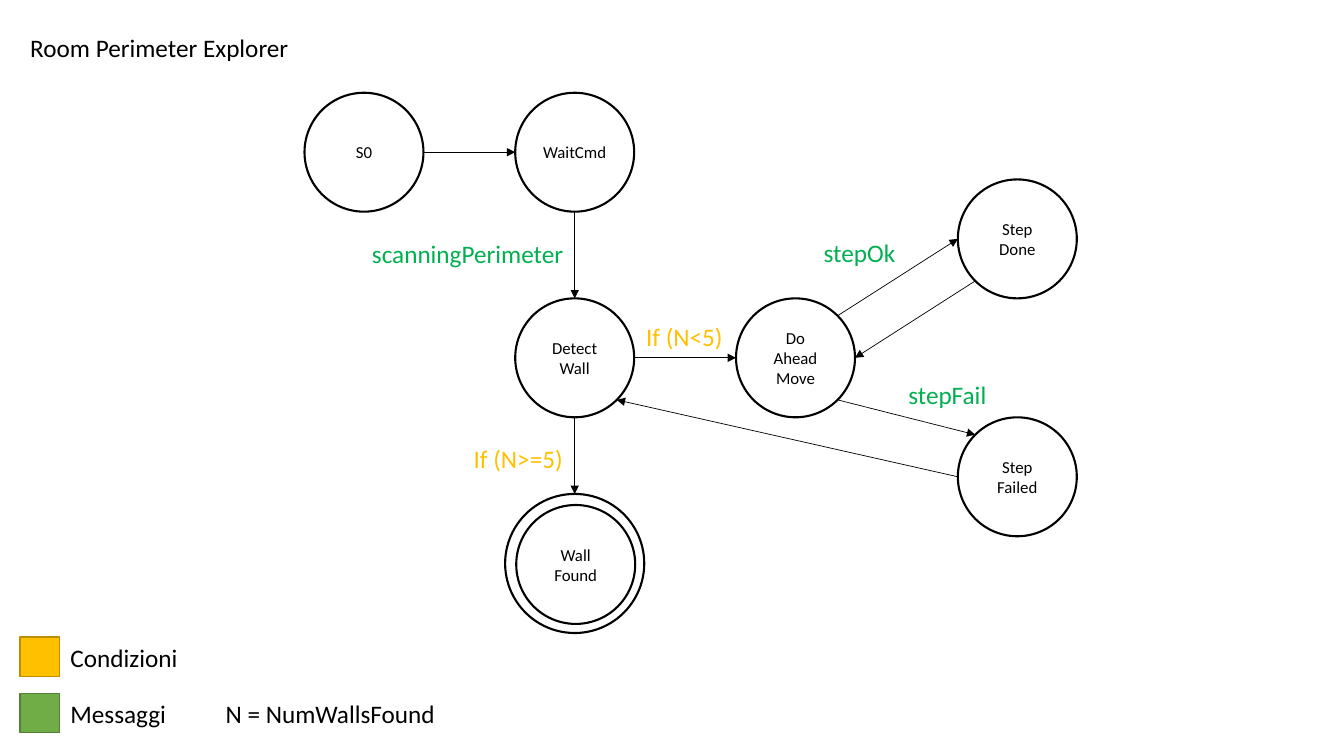
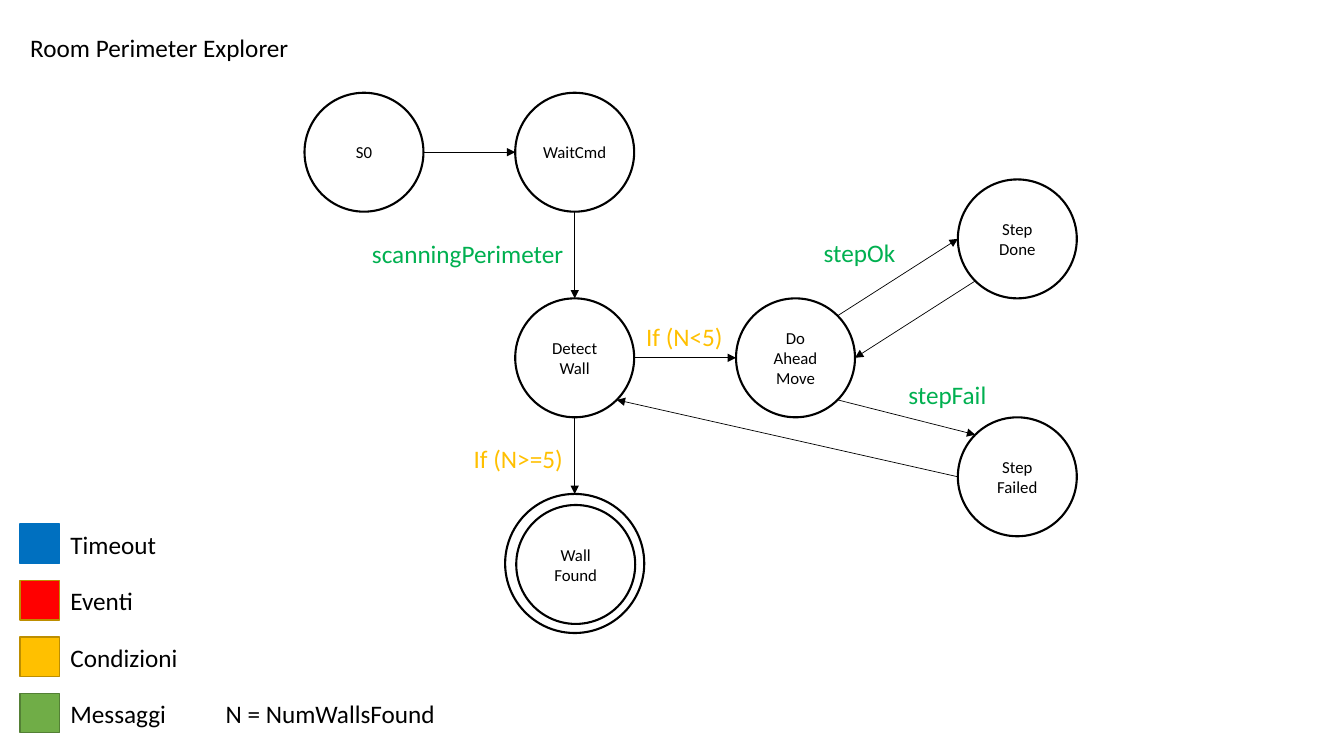
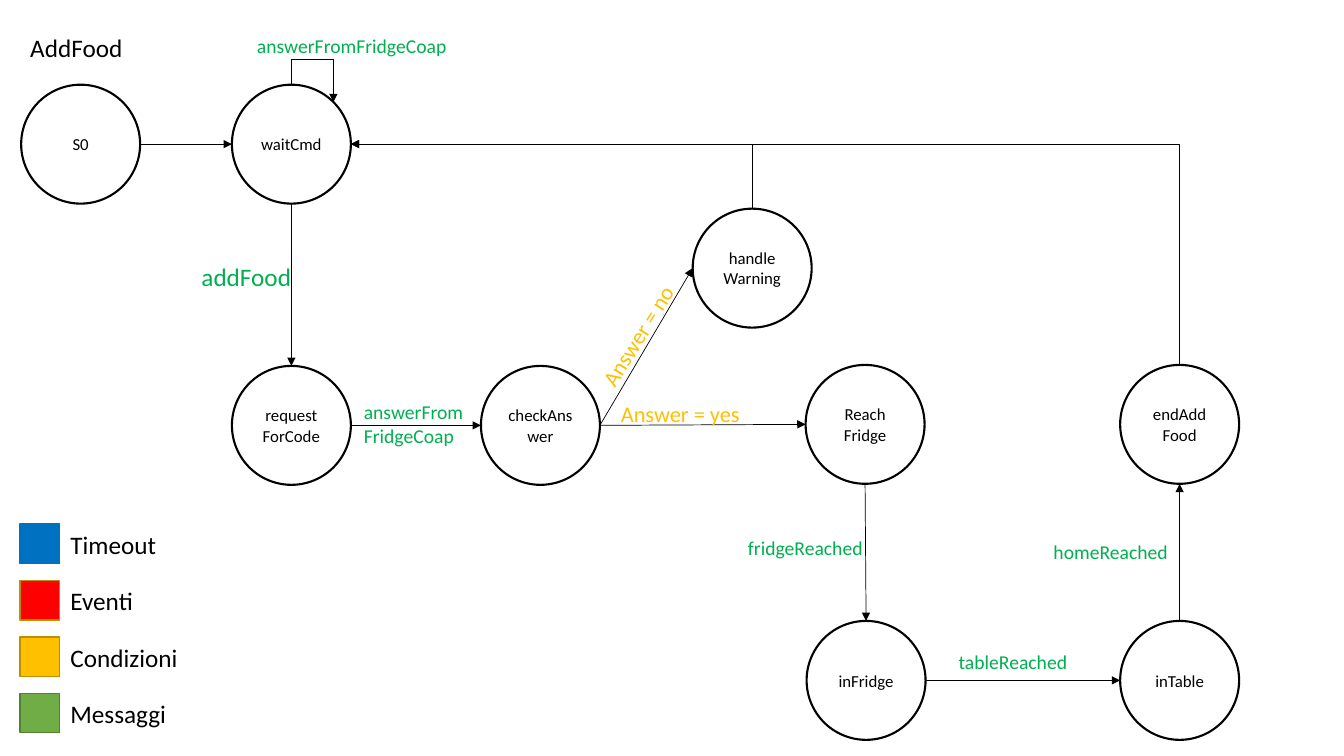
from math import cos, radians, sin

from pptx import Presentation
from pptx.dml.color import RGBColor
from pptx.enum.shapes import MSO_CONNECTOR, MSO_SHAPE
from pptx.enum.text import MSO_ANCHOR, MSO_AUTO_SIZE, PP_ALIGN
from pptx.oxml.ns import qn
from pptx.util import Inches, Pt
from lxml.etree import SubElement

FONT = "Calibri"
COLORS = {
    "ink": "000000",
    "paper": "FFFFFF",
    "message": "00B050",
    "condition": "FFC000",
    "condition edge": "BD8E00",
    "message key": "70AD47",
    "message key edge": "538035",
    "event": "FF0000",
    "timeout": "0070C0",
}
STATE_SIZE = 1.18
FINAL_RING_SIZE = 1.38
KEY_SIZE = 0.39
KEY_LEFT, KEY_BOTTOM_ROW, KEY_PITCH = 0.2, 6.88, 0.56
LOOP_RISE = 0.25

# Connection sites of an ellipse, counted anticlockwise from the top.
SITES = ["top", "top left", "left", "bottom left",
         "bottom", "bottom right", "right", "top right"]

# Legend rows from the bottom up: text, text width, fill, edge.
LEGEND = [
    ("Messaggi", 1.16, "message key", "message key edge"),
    ("Condizioni", 1.28, "condition", "condition edge"),
    ("Eventi", 0.83, "event", "condition edge"),
    ("Timeout", 1.06, "timeout", "timeout"),
]


def rgb(color):
    return RGBColor.from_string(COLORS[color])


def write(frame, text, size, color="ink", align=PP_ALIGN.LEFT):
    frame.text = text
    for paragraph in frame.paragraphs:
        paragraph.alignment = align
        for span in paragraph.runs:
            span.font.name = FONT
            span.font.size = Pt(size)
            span.font.color.rgb = rgb(color)


def fit_to_text(frame):
    frame.word_wrap = False
    frame.auto_size = MSO_AUTO_SIZE.SHAPE_TO_FIT_TEXT


def add_page(deck, title, title_width):
    page = deck.slides.add_slide(deck.slide_layouts[5])
    box = page.shapes.title
    box.left, box.top = Inches(0.2), Inches(0.27)
    box.width, box.height = Inches(title_width), Inches(0.4)
    write(box.text_frame, title, 18)
    fit_to_text(box.text_frame)
    box.text_frame.vertical_anchor = MSO_ANCHOR.TOP
    return page


def add_label(page, text, left, top, width, color="ink", size=18, rotation=0):
    lines = text.count("\n") + 1
    height = lines * size * 1.2 / 72 + 0.1
    box = page.shapes.add_textbox(
        Inches(left), Inches(top), Inches(width), Inches(height))
    write(box.text_frame, text, size, color)
    fit_to_text(box.text_frame)
    box.rotation = rotation


def add_figure(page, kind, left, top, size, fill, edge, edge_width):
    figure = page.shapes.add_shape(
        kind, Inches(left), Inches(top), Inches(size), Inches(size))
    figure.shadow.inherit = False
    figure.fill.solid()
    figure.fill.fore_color.rgb = rgb(fill)
    figure.line.color.rgb = rgb(edge)
    figure.line.width = Pt(edge_width)
    return figure


def add_circle(page, left, top, size):
    return add_figure(page, MSO_SHAPE.OVAL, left, top, size, "paper", "ink", 1.5)


def add_state(page, text, left, top):
    state = add_circle(page, left, top, STATE_SIZE)
    write(state.text_frame, text, 12, align=PP_ALIGN.CENTER)
    state.text_frame.vertical_anchor = MSO_ANCHOR.MIDDLE
    return state


def site_point(state, site):
    angle = radians(90 + 45 * SITES.index(site))
    radius = state.width / 2
    return (int(state.left + radius + radius * cos(angle)),
            int(state.top + radius - radius * sin(angle)))


def add_arrow(page, kind, source, source_site, target, target_site):
    """Draw an arrow that stays attached to both states."""
    arrow = page.shapes.add_connector(
        kind, *site_point(source, source_site), *site_point(target, target_site))
    arrow.line.color.rgb = rgb("ink")
    arrow.line.width = Pt(0.5)
    SubElement(arrow.line._get_or_add_ln(), qn("a:tailEnd"), type="triangle")
    SubElement(arrow._element.spPr, qn("a:effectLst"))
    joints = arrow._element.nvCxnSpPr.cNvCxnSpPr
    ends = [(joints.get_or_add_stCxn(), source, source_site),
            (joints.get_or_add_endCxn(), target, target_site)]
    for joint, state, site in ends:
        joint.id = state.shape_id
        joint.idx = SITES.index(site)
    return arrow


def connect(page, source, source_site, target, target_site):
    add_arrow(page, MSO_CONNECTOR.STRAIGHT,
              source, source_site, target, target_site)


def connect_upward(page, source, target, target_site, loop=False):
    """Leave the top of source upward, then bend; a loop bends down again."""
    arrow = add_arrow(page, MSO_CONNECTOR.ELBOW,
                      source, "top", target, target_site)
    middle_x = arrow.left + arrow.width // 2
    middle_y = arrow.top + arrow.height // 2
    width, height = arrow.height, arrow.width
    arrow.left, arrow.top = middle_x - width // 2, middle_y - height // 2
    arrow.width, arrow.height = width, height

    frame = arrow._element.spPr.xfrm
    for flip in ("flipH", "flipV"):
        frame.attrib.pop(flip, None)
    frame.set("rot", str(270 * 60000))
    frame.set("flipH" if loop else "flipV", "1")

    outline = arrow._element.spPr.find(qn("a:prstGeom"))
    if loop:
        bend = int(-Inches(LOOP_RISE) / width * 100000)
        guides = outline.find(qn("a:avLst"))
        SubElement(guides, qn("a:gd"), name="adj1", fmla=f"val {bend}")
    else:
        outline.set("prst", "bentConnector2")


def add_legend(page, rows):
    for row, (text, width, fill, edge) in enumerate(LEGEND[:rows]):
        top = KEY_BOTTOM_ROW - row * KEY_PITCH
        add_figure(page, MSO_SHAPE.RECTANGLE, KEY_LEFT, top, KEY_SIZE, fill, edge, 1)
        add_label(page, text, 0.6, top, width)


def build_explorer(deck, legend_rows):
    page = add_page(deck, "Room Perimeter Explorer", 2.79)
    ring = add_circle(page, 5.01, 4.9, FINAL_RING_SIZE)
    start = add_state(page, "S0", 3.02, 0.92)
    failed = add_state(page, "Step Failed", 9.5, 4.14)
    done = add_state(page, "Step Done", 9.5, 1.78)
    move = add_state(page, "Do Ahead Move", 7.3, 2.96)
    add_state(page, "Wall Found", 5.12, 5.01)
    detect = add_state(page, "Detect\nWall", 5.11, 2.96)
    wait = add_state(page, "WaitCmd", 5.11, 0.92)

    connect(page, start, "right", wait, "left")
    connect(page, wait, "bottom", detect, "top")
    connect(page, detect, "bottom", ring, "top")
    connect(page, detect, "right", move, "left")
    connect(page, move, "top right", done, "left")
    connect(page, move, "bottom right", failed, "top left")
    connect(page, done, "bottom left", move, "right")
    connect(page, failed, "left", detect, "bottom right")

    add_label(page, "scanningPerimeter", 3.59, 2.32, 2.12, "message")
    add_label(page, "If (N>=5)", 4.6, 4.35, 1.1, "condition")
    add_label(page, "If (N<5)", 6.31, 3.14, 0.97, "condition")
    add_label(page, "stepOk", 8.07, 2.31, 0.92, "message")
    add_label(page, "stepFail", 8.91, 3.71, 0.98, "message")
    add_legend(page, legend_rows)
    add_label(page, "N = NumWallsFound", 2.14, KEY_BOTTOM_ROW, 2.3)


def build_add_food(deck):
    page = add_page(deck, "AddFood", 1.13)
    start = add_state(page, "S0", 0.21, 0.84)
    wait = add_state(page, "waitCmd", 2.3, 0.84)
    request = add_state(page, "request ForCode", 2.3, 3.63)
    check = add_state(page, "checkAnswer", 4.77, 3.63)
    warning = add_state(page, "handle Warning", 6.87, 2.07)
    reach = add_state(page, "Reach\nFridge", 7.99, 3.62)
    fridge = add_state(page, "inFridge", 8, 6.16)
    table = add_state(page, "inTable", 11.11, 6.16)
    end = add_state(page, "endAdd Food", 11.11, 3.62)

    connect(page, start, "right", wait, "left")
    connect(page, wait, "bottom", request, "top")
    connect(page, request, "right", check, "left")
    connect(page, check, "right", reach, "left")
    connect(page, check, "right", warning, "left")
    connect(page, reach, "bottom", fridge, "top")
    connect(page, fridge, "right", table, "left")
    connect(page, table, "top", end, "bottom")
    connect_upward(page, end, wait, "right")
    connect_upward(page, warning, wait, "right")
    connect_upward(page, wait, wait, "top right", loop=True)

    add_label(page, "answerFromFridgeCoap", 2.45, 0.29, 2.09, "message", 14)
    add_label(page, "addFood", 1.9, 2.54, 1.1, "message")
    add_label(page, "answerFrom\nFridgeCoap", 3.51, 3.92, 1.2, "message", 14)
    add_label(page, "fridgeReached", 7.32, 5.27, 1.35, "message", 14)
    add_label(page, "homeReached", 10.35, 5.31, 1.35, "message", 14)
    add_label(page, "tableReached", 9.41, 6.4, 1.29, "message", 14)
    add_label(page, "Answer = yes", 6.06, 3.92, 1.4, "condition", 16)
    add_label(page, "Answer = no", 5.66, 3.14, 1.34, "condition", 16, 302.1)
    add_legend(page, len(LEGEND))


def main():
    deck = Presentation()
    deck.slide_width, deck.slide_height = Inches(13.33), Inches(7.5)
    build_explorer(deck, legend_rows=2)
    build_explorer(deck, legend_rows=len(LEGEND))
    build_add_food(deck)
    deck.save("out.pptx")


if __name__ == "__main__":
    main()
